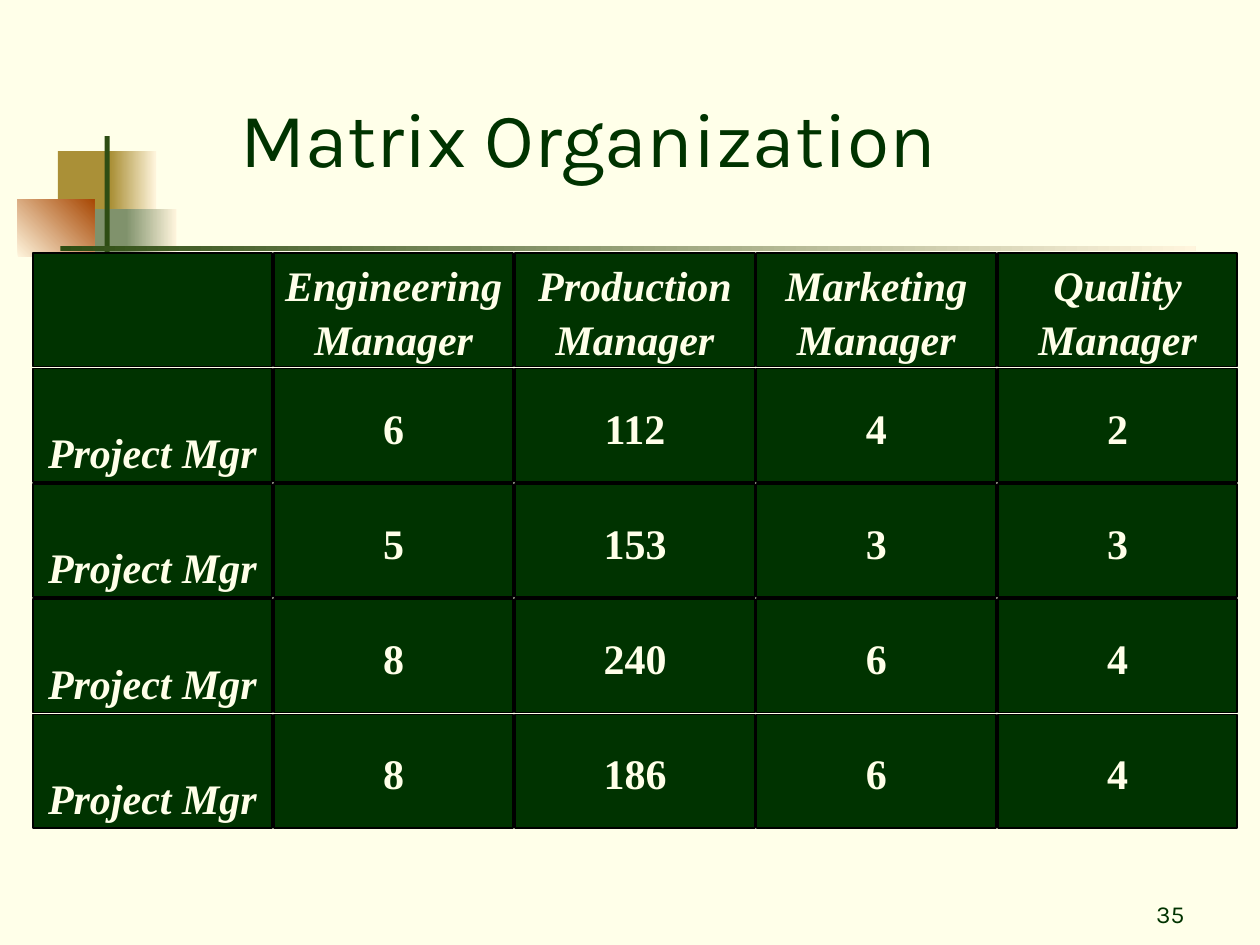
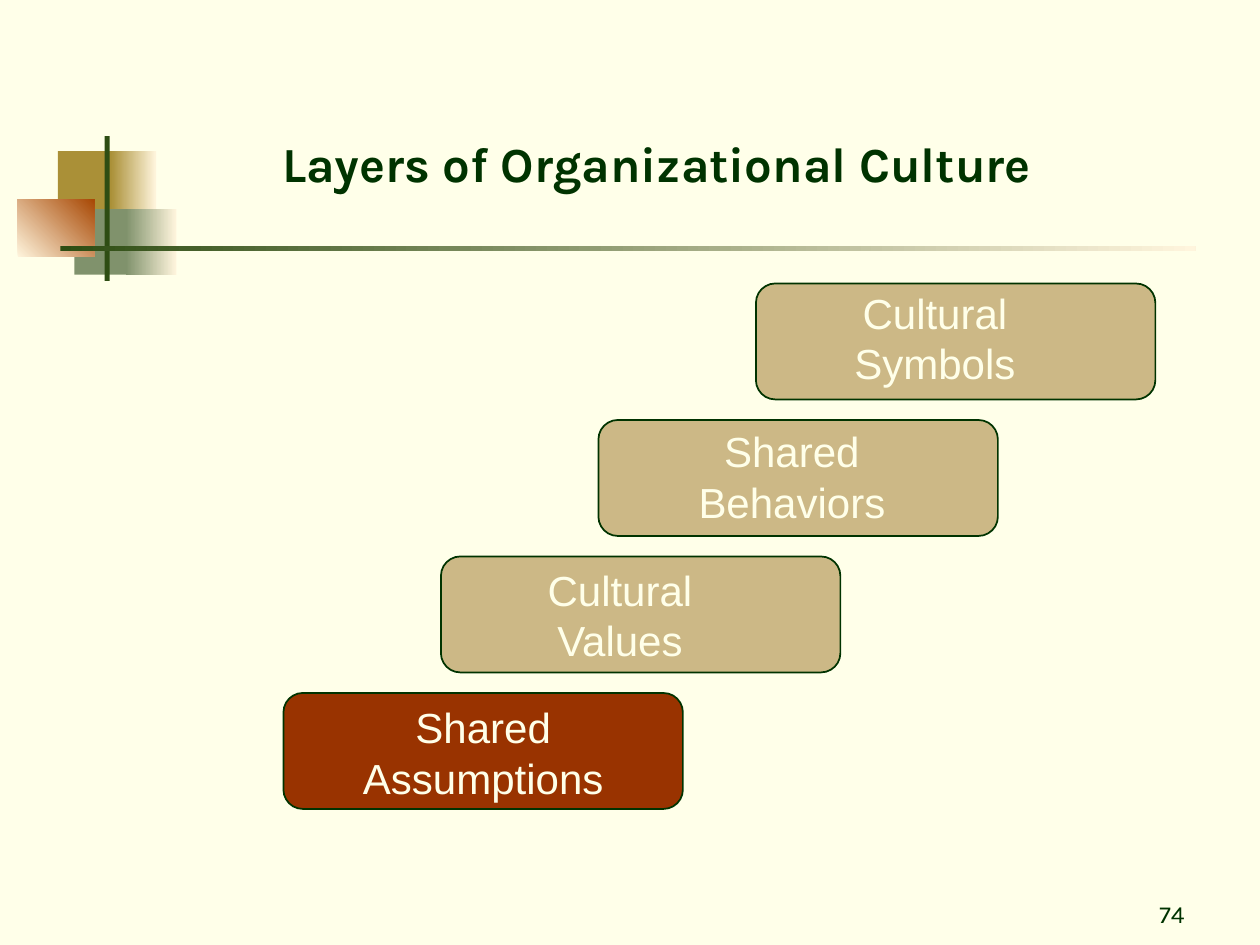
from dataclasses import dataclass

from pptx import Presentation
from pptx.dml.color import RGBColor as RGB
from pptx.enum.shapes import MSO_SHAPE as SHAPE
from pptx.enum.text import MSO_ANCHOR as ANCHOR, MSO_AUTO_SIZE as AUTO, PP_ALIGN as ALIGN
from pptx.util import Inches, Pt


@dataclass(frozen=True)
class Theme:
    paper: str = "FFFFE9"
    forest: str = "003300"
    black: str = "000000"
    rust: str = "993300"
    sand: str = "CCB886"
    ochre: str = "AA9037"
    sage: str = "80926C"
    moss: str = "2E4D13"
    copper: str = "A84804"
    fade: str = "FFF5DD"
    heading_font: str = "Karla"
    matrix_font: str = "Times New Roman"
    label_font: str = "Arial"
    title_size: int = 44
    subtitle_size: int = 28
    text_size: int = 24
    number_size: int = 14


T = Theme()

# left, top, width, height, colours (two make a gradient), gradient angle
EMBLEM = [
    (0.46, 1.2, 0.48, 0.52, [T.ochre], 0),
    (0.88, 1.2, 0.36, 0.52, [T.ochre, T.fade], 0),
    (0.59, 1.66, 0.46, 0.52, [T.sage], 0),
    (1, 1.66, 0.4, 0.52, [T.sage, T.fade], 0),
    (0.14, 1.58, 0.61, 0.46, [T.fade, T.copper], 45),
    (0.83, 1.08, 0.04, 1.15, [T.moss], 0),
    (0.48, 1.95, 9.01, 0.04, [T.moss, T.fade], 0),
]

STAFFING = [
    ["", "Engineering\nManager", "Production\nManager", "Marketing\nManager", "Quality\nManager"],
    ["Project Mgr", "6", "112", "4", "2"],
    ["Project Mgr", "5", "153", "3", "3"],
    ["Project Mgr", "8", "240", "6", "4"],
    ["Project Mgr", "8", "186", "6", "4"],
]

# Bottom step first: label, its left, top and width, step colour
LAYERS = [
    ("Shared Assumptions", 2.25, 5.52, 3.17, T.rust),
    ("Cultural Values", 3.83, 4.43, 2.18, T.sand),
    ("Shared Behaviors", 4.92, 3.33, 2.73, T.sand),
    ("Cultural Symbols", 6.33, 2.23, 2.18, T.sand),
]


def box(*lengths):
    return [Inches(n) for n in lengths]


def paint(fill, colour):
    fill.solid()
    fill.fore_color.rgb = RGB.from_string(colour)


def write(tf, text, font, size, colour, align=ALIGN.CENTER, bold=False, italic=False,
          spacing=None):
    """Fill a text frame, one paragraph for each line of text."""
    for i, line in enumerate(text.split("\n")):
        p = tf.add_paragraph() if i else tf.paragraphs[0]
        p.alignment = align
        p.line_spacing = spacing
        r = p.add_run()
        r.text = line
        r.font.name, r.font.size = font, Pt(size)
        r.font.bold, r.font.italic = bold, italic
        r.font.color.rgb = RGB.from_string(colour)


def add_block(slide, kind, at, colours, angle=0, line=None):
    sp = slide.shapes.add_shape(kind, *box(*at))
    sp.shadow.inherit = False
    if len(colours) == 1:
        paint(sp.fill, colours[0])
    else:
        sp.fill.gradient()
        sp.fill.gradient_angle = angle
        for stop, colour in zip(sp.fill.gradient_stops, colours):
            stop.color.rgb = RGB.from_string(colour)
    if line:
        paint(sp.line.fill, line)
        sp.line.width = Pt(1)
    else:
        sp.line.fill.background()
    return sp


def decorate_master(prs, slide):
    """Draw the emblem on a slide, then move it behind the master's placeholders."""
    master = prs.slide_master
    paint(master.background.fill, T.paper)
    for i, (*at, colours, angle) in enumerate(EMBLEM):
        element = add_block(slide, SHAPE.RECTANGLE, at, colours, angle).element
        element.nvSpPr.cNvPr.id = 100 + i
        master.shapes.element.insert(2 + i, element)


def add_textbox(slide, at, anchor=ANCHOR.TOP, auto_size=AUTO.NONE):
    tf = slide.shapes.add_textbox(*box(*at)).text_frame
    tf.word_wrap = True
    tf.vertical_anchor = anchor
    tf.auto_size = auto_size
    return tf


def add_title_slide(prs, title, at, size, number, anchor, bold=False):
    slide = prs.slides.add_slide(prs.slide_layouts.get_by_name("Title Only"))
    sp = slide.shapes.title
    sp.left, sp.top, sp.width, sp.height = box(*at)
    tf = sp.text_frame
    tf.auto_size = AUTO.NONE
    tf.vertical_anchor = anchor
    write(tf, title, T.heading_font, size, T.forest, bold=bold)
    tf = add_textbox(slide, (7.42, 6.92, 2.08, 0.5), ANCHOR.BOTTOM)
    write(tf, str(number), T.heading_font, T.number_size, T.forest, ALIGN.RIGHT)
    return slide


def add_staffing_matrix(slide):
    """Lay out separate tiles, with a narrow gap between them."""
    left, top, width, height = 0.26, 2.01, 1.9, 0.9
    x_step, y_step = 7.66 / 4, 3.66 / 4
    for row, values in enumerate(STAFFING):
        for col, text in enumerate(values):
            at = (left + x_step * col, top + y_step * row, width, height)
            sp = add_block(slide, SHAPE.RECTANGLE, at, [T.forest], line=T.black)
            if not text:
                continue
            tf = sp.text_frame
            tf.word_wrap = False
            tf.margin_bottom = Inches(0.04 if col == 0 else 0.05)
            tf.vertical_anchor = ANCHOR.BOTTOM if col == 0 else ANCHOR.MIDDLE
            write(tf, text, T.matrix_font, T.text_size, T.paper, bold=True,
                  italic=row == 0 or col == 0, spacing=1.08)


def add_culture_steps(slide):
    for i, (*_, colour) in enumerate(LAYERS):
        at = (2.25 + 1.25 * i, 5.5 - 3.25 / 3 * i, 3.17, 0.92)
        add_block(slide, SHAPE.ROUNDED_RECTANGLE, at, [colour], line=T.forest)
    for label, left, top, width, _ in LAYERS:
        tf = add_textbox(slide, (left, top, width, 0.9), auto_size=AUTO.SHAPE_TO_FIT_TEXT)
        write(tf, label, T.label_font, T.text_size, T.paper)


def main():
    prs = Presentation()
    prs.slide_width, prs.slide_height = box(10, 7.5)

    matrix = add_title_slide(prs, "Matrix Organization", (0.42, 0.29, 8.5, 1.21),
                             T.title_size, 35, ANCHOR.BOTTOM)
    decorate_master(prs, matrix)
    add_staffing_matrix(matrix)

    culture = add_title_slide(prs, "Layers of Organizational Culture", (1.25, 0.67, 7.92, 1.25),
                              T.subtitle_size, 74, ANCHOR.MIDDLE, bold=True)
    add_culture_steps(culture)

    prs.save("out.pptx")


if __name__ == "__main__":
    main()
